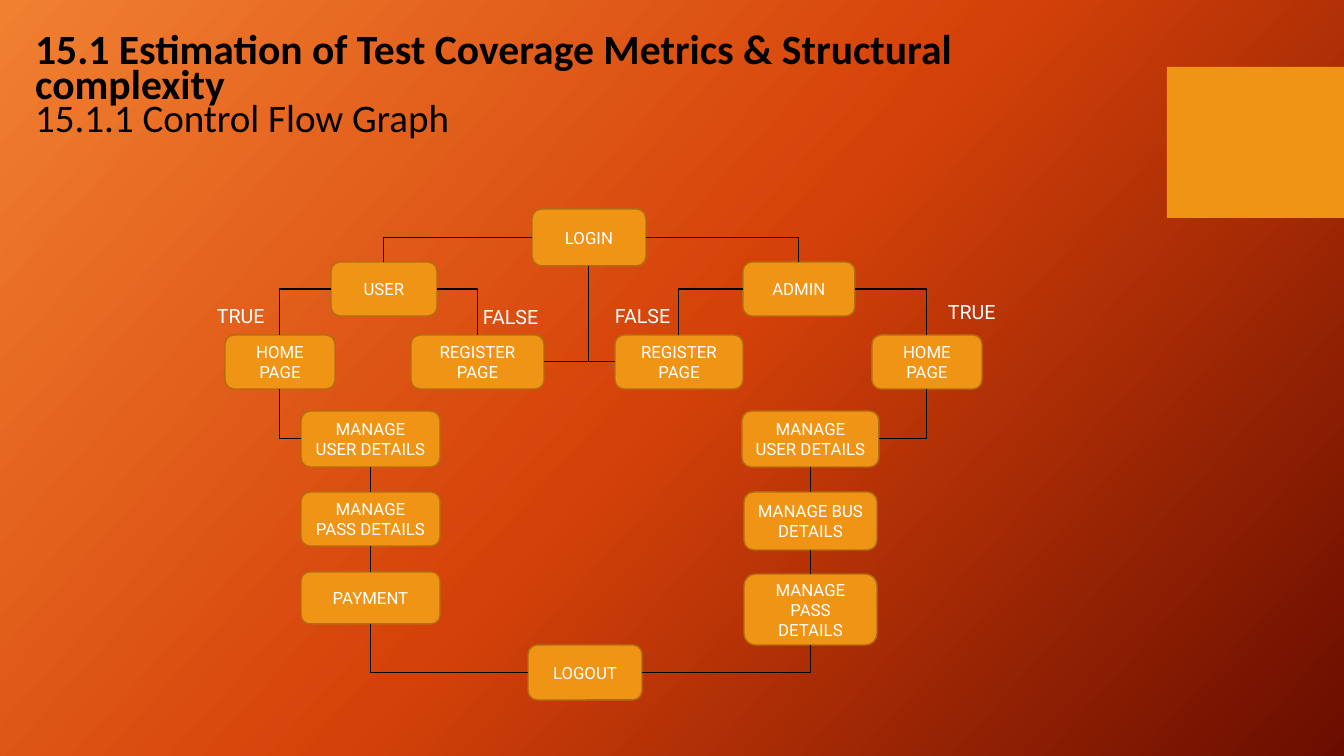
"""Build the control flow graph slide."""
from copy import deepcopy

from pptx import Presentation
from pptx.dml.color import RGBColor
from pptx.enum.shapes import MSO_CONNECTOR as CXN, MSO_SHAPE as SHAPE
from pptx.enum.text import MSO_ANCHOR as ANCHOR, MSO_AUTO_SIZE as AUTO, PP_ALIGN as ALIGN
from pptx.oxml.ns import qn
from pptx.oxml.xmlchemy import OxmlElement
from pptx.util import Pt

COLORS = {
    "bg_start": "F18031", "bg_mid": "D54209", "bg_end": "6A0D00",
    "node": "F09415", "border": "B26D10", "black": "000000", "white": "FFFFFF",
}
TOP, LEFT, BOTTOM, RIGHT = range(4)


def px(*lengths):
    return [round(n * 914400 / 100.8) for n in lengths]


def rgb(name):
    return RGBColor.from_string(COLORS[name])


prs = Presentation()
prs.slide_width, prs.slide_height = px(1344, 756)
s = prs.slides.add_slide(prs.slide_layouts[5])

fill = s.background.fill
fill.gradient()
fill.gradient_angle = 318
stop_list = s.element.find(".//" + qn("a:gsLst"))
stop_list.insert(1, deepcopy(stop_list[0]))
for stop, position, color in zip(fill.gradient_stops, (0, 0.5, 1), ("bg_start", "bg_mid", "bg_end")):
    stop.position = position
    stop.color.rgb = rgb(color)

accent = s.shapes.add_shape(SHAPE.RECTANGLE, *px(1167, 67, 177, 151))
accent.shadow.inherit = False
accent.fill.solid()
accent.fill.fore_color.rgb = rgb("node")
accent.line.fill.background()

title = s.shapes.title
title.left, title.top, title.width, title.height = px(25, 30, 1059, 116)
tf = title.text_frame
tf.word_wrap = True
tf.auto_size = AUTO.NONE
tf.vertical_anchor = ANCHOR.MIDDLE
p = tf.paragraphs[0]
p.alignment = ALIGN.LEFT
p.line_spacing = 0.7
p.font.name = "Calibri"
p.font.color.rgb = rgb("black")
heading = p.add_run()
heading.text = "15.1 Estimation of Test Coverage Metrics & Structural complexity"
p.add_line_break()
subheading = p.add_run()
subheading.text = "15.1.1 Control Flow Graph"
for r, size, bold in ((heading, 29.7, True), (subheading, 27.9, False)):
    r.font.size = Pt(size)
    r.font.bold = bold
    r.font.name = "Calibri"
    r.font.color.rgb = rgb("black")

NODES = {
    "login": ("LOGIN", 532, 209, 114, 57),
    "user": ("USER", 331, 262, 106, 54),
    "admin": ("ADMIN", 743, 262, 112, 54),
    "user_home": ("HOME PAGE", 225, 335, 110, 54),
    "user_register": ("REGISTER PAGE", 411, 335, 133, 54),
    "admin_register": ("REGISTER PAGE", 615, 335, 128, 54),
    "admin_home": ("HOME PAGE", 872, 335, 110, 54),
    "user_details": ("MANAGE USER DETAILS", 301, 411, 139, 56),
    "user_pass": ("MANAGE PASS DETAILS", 301, 492, 139, 54),
    "payment": ("PAYMENT", 301, 572, 139, 52),
    "admin_details": ("MANAGE USER DETAILS", 742, 411, 137, 56),
    "admin_bus": ("MANAGE BUS DETAILS", 744, 492, 133, 58),
    "admin_pass": ("MANAGE PASS DETAILS", 744, 574, 133, 71),
    "logout": ("LOGOUT", 528, 645, 114, 55),
}
nodes = {}
for name, (text, *box) in NODES.items():
    sp = s.shapes.add_shape(SHAPE.ROUNDED_RECTANGLE, *px(*box))
    sp.shadow.inherit = False
    sp.fill.solid()
    sp.fill.fore_color.rgb = rgb("node")
    sp.line.color.rgb = rgb("border")
    sp.line.width = Pt(1)
    tf = sp.text_frame
    tf.text = text
    tf.word_wrap = True
    tf.vertical_anchor = ANCHOR.MIDDLE
    p = tf.paragraphs[0]
    p.alignment = ALIGN.CENTER
    p.font.name = "Roboto"
    p.font.size = Pt(12)
    p.font.color.rgb = rgb("white")
    nodes[name] = sp

LINKS = [
    ("login", LEFT, "user", TOP),
    ("login", RIGHT, "admin", TOP),
    ("user", LEFT, "user_home", TOP),
    ("user", RIGHT, "user_register", TOP),
    ("admin", LEFT, "admin_register", TOP),
    ("admin", RIGHT, "admin_home", TOP),
    ("user_register", RIGHT, "login", BOTTOM),
    ("admin_register", LEFT, "login", BOTTOM),
    ("user_details", LEFT, "user_home", BOTTOM),
    ("admin_details", RIGHT, "admin_home", BOTTOM),
    ("user_details", BOTTOM, "user_pass", TOP),
    ("user_pass", BOTTOM, "payment", TOP),
    ("admin_details", BOTTOM, "admin_bus", TOP),
    ("admin_bus", BOTTOM, "admin_pass", TOP),
    ("logout", LEFT, "payment", BOTTOM),
    ("logout", RIGHT, "admin_pass", BOTTOM),
]
for start, start_side, end, end_side in LINKS:
    bent = start_side in (LEFT, RIGHT)
    link = s.shapes.add_connector(CXN.ELBOW if bent else CXN.STRAIGHT, 0, 0, 0, 0)
    link.begin_connect(nodes[start], start_side)
    link.end_connect(nodes[end], end_side)
    link.line.color.rgb = rgb("black")
    link.line.width = Pt(0.75)
    props = link.element.spPr
    props.append(OxmlElement("a:effectLst"))
    if bent:
        props.find(qn("a:prstGeom")).set("prst", "bentConnector2")

LABELS = [
    ("TRUE", 207, 299, 81),
    ("TRUE", 938, 295, 88),
    ("FALSE", 605, 299, 100),
    ("FALSE", 473, 300, 92),
]
for text, x, y, width in LABELS:
    label = s.shapes.add_textbox(*px(x, y, width, 34))
    tf = label.text_frame
    tf.text = text
    tf.word_wrap = True
    p = tf.paragraphs[0]
    p.font.name = "Roboto"
    p.font.size = Pt(14)
    p.font.color.rgb = rgb("white")

prs.save("out.pptx")
